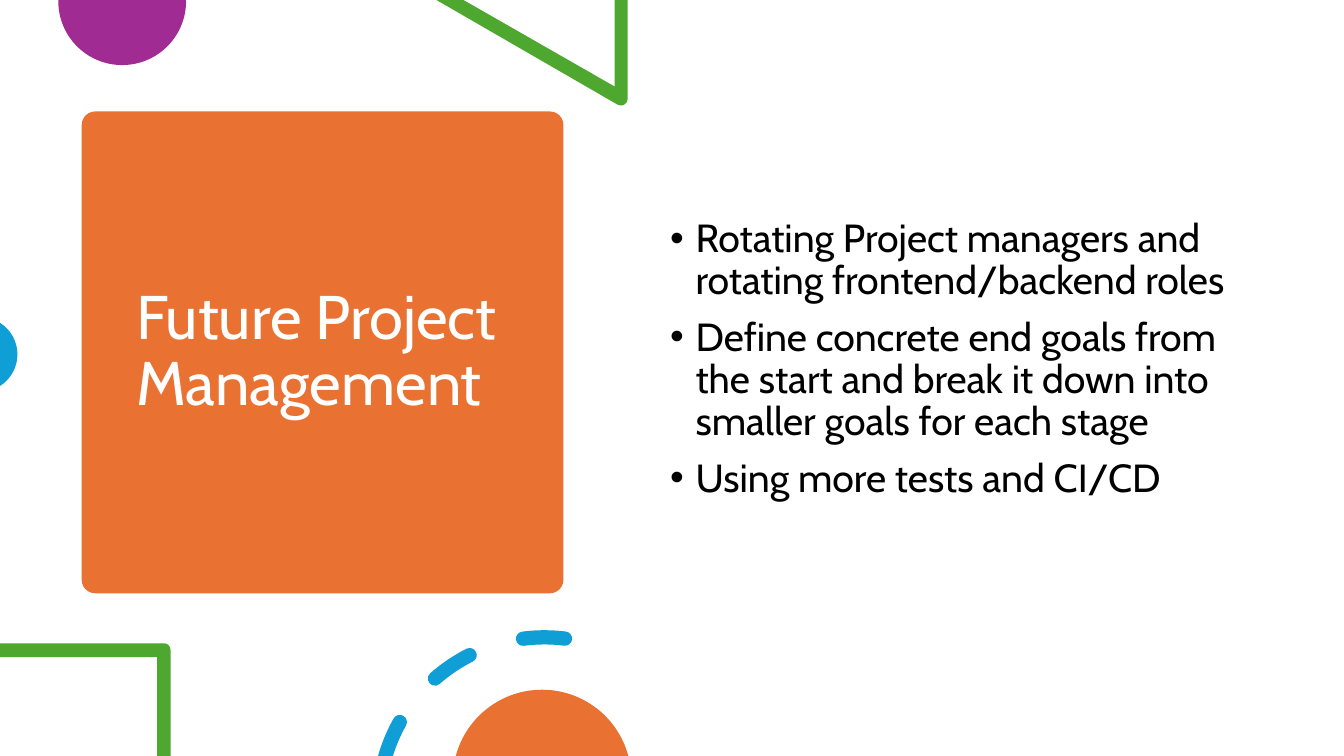
from math import ceil, cos, radians, sin, tan

from pptx import Presentation
from pptx.dml.color import RGBColor
from pptx.enum.shapes import MSO_SHAPE as Preset
from pptx.enum.text import MSO_ANCHOR as Anchor
from pptx.oxml.ns import qn
from pptx.util import Cm, Pt
from lxml.etree import SubElement

ORANGE = RGBColor(0xE9, 0x71, 0x32)
PURPLE = RGBColor(0xA0, 0x2B, 0x93)
GREEN = RGBColor(0x4E, 0xA7, 0x2E)
BLUE = RGBColor(0x0F, 0x9E, 0xD5)
WHITE = RGBColor(0xFF, 0xFF, 0xFF)
BLACK = RGBColor(0, 0, 0)
FONT = "Cabin"
BOTTOM = 19.05  # lower slide edge, cm

RING_CENTER = (13.72, 20.24)
RING_RADIUS = 4.18
RING_HALF_WIDTH = 0.18

TITLE = "Future Project Management"
GOALS = [
    "Rotating Project managers and rotating frontend/backend roles",
    "Define concrete end goals from the start and break it down into "
    "smaller goals for each stage",
    "Using more tests and CI/CD",
]


def on_circle(cx, cy, radius, degrees):
    """Point on a circle; degrees run clockwise from the right."""
    return (cx + radius * cos(radians(degrees)),
            cy + radius * sin(radians(degrees)))


def arc(cx, cy, radius, start, end, pieces=None):
    """A start point, then Bézier pieces (two controls and an end point)."""
    pieces = pieces or ceil(abs(end - start) / 90)
    step = (end - start) / pieces
    pull = radius * 4 / 3 * tan(radians(step / 4))
    segments = [on_circle(cx, cy, radius, start)]
    for i in range(pieces):
        a = start + i * step
        b = a + step
        x1, y1 = on_circle(cx, cy, radius, a)
        x2, y2 = on_circle(cx, cy, radius, b)
        dx1, dy1 = on_circle(0, 0, pull, a + 90)
        dx2, dy2 = on_circle(0, 0, pull, b + 90)
        segments.append((x1 + dx1, y1 + dy1, x2 - dx2, y2 - dy2, x2, y2))
    return segments


def ring_dash(outer_start, inner_start, end):
    """Dash of the ring; its start is round only if both sides start alike."""
    center = RING_CENTER

    def cap(angle, turn):
        middle = on_circle(*center, RING_RADIUS, angle)
        return arc(*middle, RING_HALF_WIDTH, turn, turn + 180)[1:]

    outer = arc(*center, RING_RADIUS + RING_HALF_WIDTH, outer_start, end, 2)
    inner = arc(*center, RING_RADIUS - RING_HALF_WIDTH, end, inner_start)
    outline = outer + cap(end, end) + inner[1:]
    if outer_start == inner_start:
        outline += cap(inner_start, inner_start + 180)
    return outline


def paint(shape, color):
    shape.shadow.inherit = False
    shape.fill.solid()
    shape.fill.fore_color.rgb = color
    shape.line.fill.background()


def bend(shape, line, curve):
    """Turn a straight path segment into a cubic Bézier one."""
    line.tag = qn("a:cubicBezTo")
    for i, (x, y) in enumerate((curve[:2], curve[2:4])):
        control = line.makeelement(qn("a:pt"), {
            "x": str(Cm(x) - shape.left), "y": str(Cm(y) - shape.top)})
        line.insert(i, control)


def add_outline(slide, color, *contours):
    """Draw closed contours, given in cm, as one filled freeform."""
    builder = None
    for contour in contours:
        start, *rest = [(Cm(s[-2]), Cm(s[-1])) for s in contour]
        if builder is None:
            builder = slide.shapes.build_freeform(*start)
        else:
            builder.move_to(*start)
        builder.add_line_segments(rest, close=True)
    shape = builder.convert_to_shape()
    lines = list(shape._element.iter(qn("a:lnTo")))
    segments = [s for contour in contours for s in contour[1:]]
    # Closing a contour may add a last line back to its start.
    extra = (len(lines) - len(segments)) // len(contours)
    targets = [s for contour in contours
               for s in [*contour[1:], *[()] * extra]]
    for line, segment in zip(lines, targets):
        if len(segment) == 6:
            bend(shape, line, segment)
    paint(shape, color)


def add_title_card(slide):
    card = slide.shapes.add_shape(
        Preset.ROUNDED_RECTANGLE, Cm(2.06), Cm(2.81), Cm(12.14), Cm(12.14))
    card.adjustments[0] = 0.028
    paint(card, ORANGE)


def add_bullet(paragraph):
    properties = paragraph._p.get_or_add_pPr()
    properties.set("marL", str(Cm(0.64)))
    properties.set("indent", str(-Cm(0.64)))
    SubElement(properties, qn("a:buFont")).set("typeface", "Arial")
    SubElement(properties, qn("a:buChar")).set("char", "•")


def add_text(slide, place, lines, size, color, bulleted=False):
    frame = slide.shapes.add_textbox(*map(Cm, place)).text_frame
    frame.word_wrap = True
    frame.vertical_anchor = Anchor.MIDDLE
    for index, line in enumerate(lines):
        paragraph = frame.add_paragraph() if index else frame.paragraphs[0]
        if bulleted:
            add_bullet(paragraph)
        paragraph.line_spacing = 0.9
        if index:
            paragraph.space_before = Pt(10)
        run = paragraph.add_run()
        run.text = line
        run.font.name = FONT
        run.font.size = Pt(size)
        run.font.color.rgb = color


def add_decorations(slide):
    add_outline(slide, PURPLE,
                [(1.47, 0), (4.68, 0), *arc_from(3.08, 0.03, 1.61, 0, 180)])
    add_outline(slide, GREEN,
                [(15.82, 0), (15.49, 0), (15.49, 2.18), (11.68, 0), (11, 0),
                 *arc_from(15.65, 2.49, 0.17, 120, 0)])
    add_outline(slide, BLUE, arc(-0.5, 8.93, 0.94, -57.9, 57.9))
    add_outline(slide, GREEN,
                [(0, 16.21), (0, 16.56), (3.96, 16.56), (3.96, BOTTOM),
                 (4.3, BOTTOM), *arc_from(4.13, 16.38, 0.17, 0, -90)])
    add_outline(slide, BLUE,
                ring_dash(195.8, 197.3, 209.3),
                ring_dash(228.7, 228.7, 243.2),
                ring_dash(262.6, 262.6, 277.1))
    add_outline(slide, ORANGE, arc(13.66, 19.63, 2.25, 194.9, 345.1))


def arc_from(cx, cy, radius, start, end):
    """An arc that continues an outline which is already under way."""
    return arc(cx, cy, radius, start, end)


def main():
    deck = Presentation()
    deck.slide_width, deck.slide_height = Cm(33.87), Cm(BOTTOM)
    slide = deck.slides.add_slide(deck.slide_layouts[6])
    add_title_card(slide)
    add_text(slide, (3.18, 3.1, 10.41, 11.58), [TITLE], 44, WHITE)
    add_decorations(slide)
    add_text(slide, (16.64, 2.27, 15.16, 13.59), GOALS, 28, BLACK,
             bulleted=True)
    deck.save("out.pptx")


if __name__ == "__main__":
    main()
